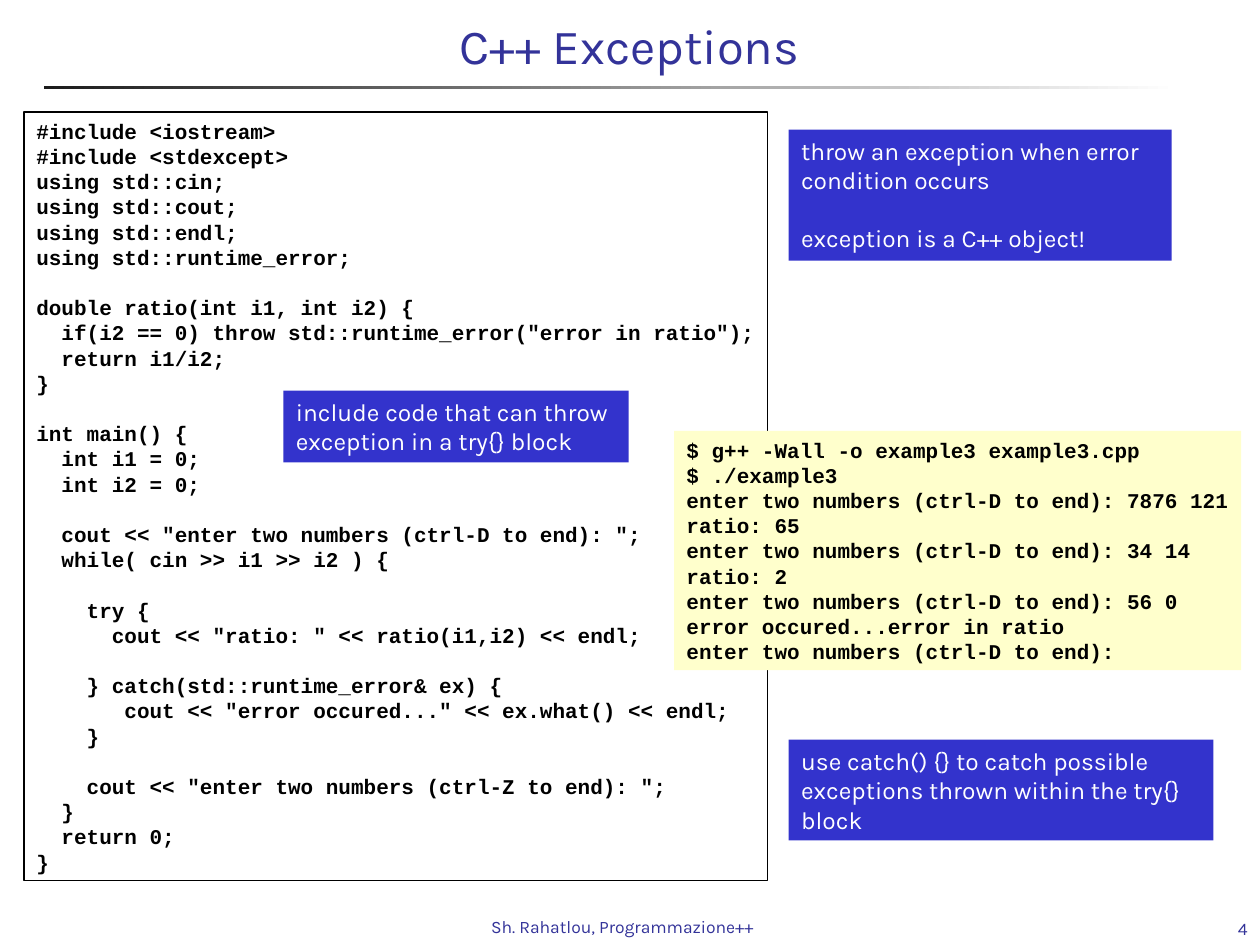
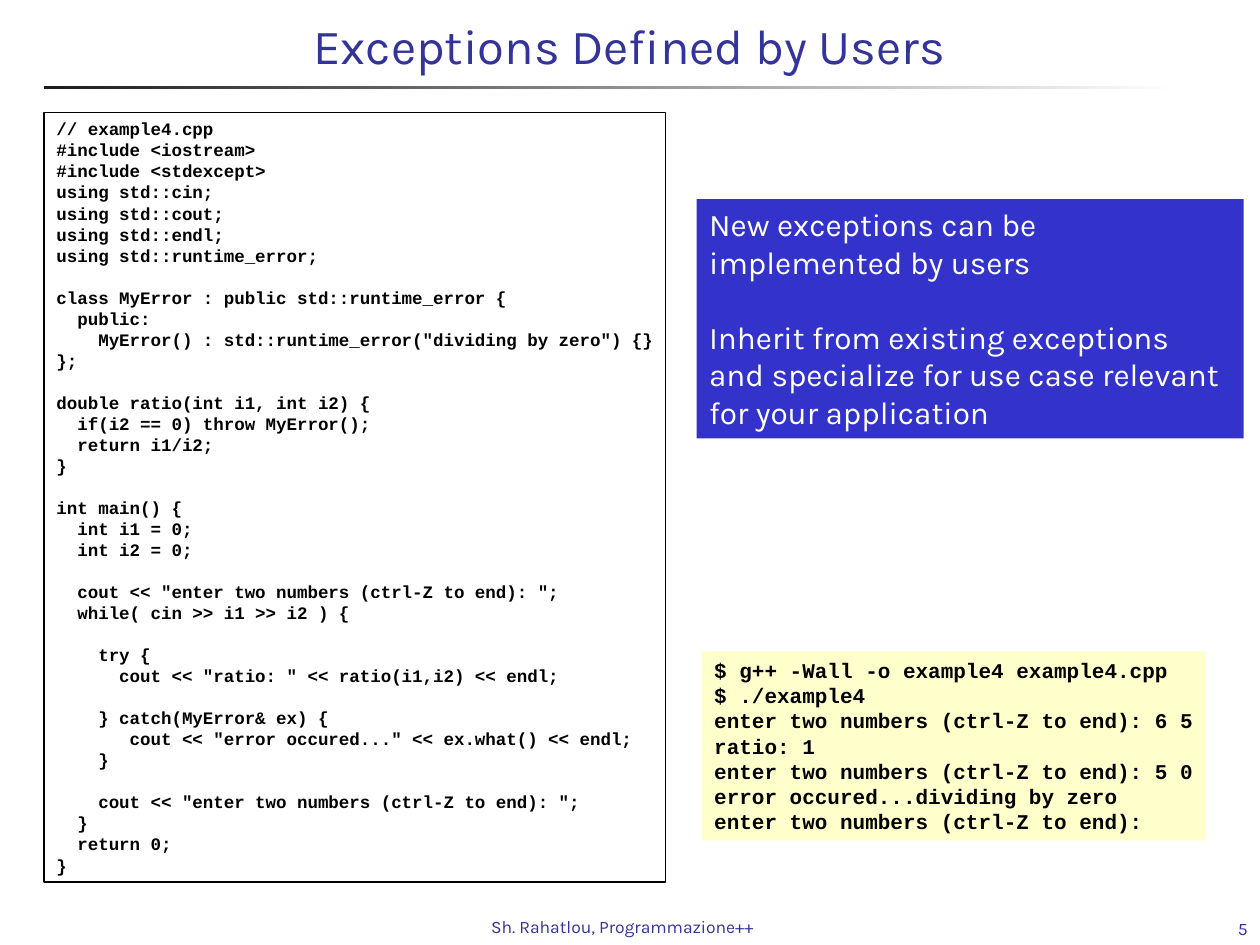
from copy import deepcopy
from dataclasses import dataclass

from lxml import etree
from pptx import Presentation
from pptx.dml.color import RGBColor
from pptx.enum.shapes import MSO_SHAPE
from pptx.enum.text import MSO_ANCHOR, PP_ALIGN
from pptx.oxml.ns import qn
from pptx.util import Inches, Pt

RECTANGLE = MSO_SHAPE.RECTANGLE
TOP, MIDDLE, BOTTOM = MSO_ANCHOR.TOP, MSO_ANCHOR.MIDDLE, MSO_ANCHOR.BOTTOM
LEFT, CENTER, RIGHT = PP_ALIGN.LEFT, PP_ALIGN.CENTER, PP_ALIGN.RIGHT


@dataclass(frozen=True)
class Theme:
    heading: str = "333399"
    callout: str = "3333CC"
    console: str = "FFFFCC"
    light: str = "FFFFFF"
    dark: str = "000000"
    rule_start: str = "1C1C1C"
    text_font: str = "Karla"
    code_font: str = "Courier New"
    title_size: int = 28
    console_size: int = 12
    footer_size: int = 10
    line_height: float = 1.17
    outline: float = 0.75


THEME = Theme()
FOOTER = "Sh. Rahatlou, Programmazione++"
FIRST_NUMBER = 4

RATIO_CODE = """\
#include <iostream>
#include <stdexcept>
using std::cin;
using std::cout;
using std::endl;
using std::runtime_error;

double ratio(int i1, int i2) {
  if(i2 == 0) throw std::runtime_error("error in ratio");
  return i1/i2;
}

int main() {
  int i1 = 0;
  int i2 = 0;

  cout << "enter two numbers (ctrl-D to end): ";
  while( cin >> i1 >> i2 ) {

    try {
      cout << "ratio: " << ratio(i1,i2) << endl;

    } catch(std::runtime_error& ex) {
       cout << "error occured..." << ex.what() << endl;
    }

    cout << "enter two numbers (ctrl-Z to end): ";
  }
  return 0;
}"""

RATIO_OUTPUT = """\
$ g++ -Wall -o example3 example3.cpp
$ ./example3
enter two numbers (ctrl-D to end): 7876 121
ratio: 65
enter two numbers (ctrl-D to end): 34 14
ratio: 2
enter two numbers (ctrl-D to end): 56 0
error occured...error in ratio
enter two numbers (ctrl-D to end):"""

MY_ERROR_CODE = """\
// example4.cpp
#include <iostream>
#include <stdexcept>
using std::cin;
using std::cout;
using std::endl;
using std::runtime_error;

class MyError : public std::runtime_error {
  public:
    MyError() : std::runtime_error("dividing by zero") {}
};

double ratio(int i1, int i2) {
  if(i2 == 0) throw MyError();
  return i1/i2;
}

int main() {
  int i1 = 0;
  int i2 = 0;

  cout << "enter two numbers (ctrl-Z to end): ";
  while( cin >> i1 >> i2 ) {

    try {
      cout << "ratio: " << ratio(i1,i2) << endl;

    } catch(MyError& ex) {
       cout << "error occured..." << ex.what() << endl;
    }

    cout << "enter two numbers (ctrl-Z to end): ";
  }
  return 0;
}"""

MY_ERROR_OUTPUT = """\
$ g++ -Wall -o example4 example4.cpp
$ ./example4
enter two numbers (ctrl-Z to end): 6 5
ratio: 1
enter two numbers (ctrl-Z to end): 5 0
error occured...dividing by zero
enter two numbers (ctrl-Z to end):"""

# Boxes are (left, top, width, height) in inches; \v breaks a line inside a paragraph.
SLIDES = [
    {
        "title": "C++ Exceptions",
        "code": (RATIO_CODE, (0.19, 0.89, 5.9, 6.1), 12),
        "console": (RATIO_OUTPUT, (5.35, 3.42, 4.5, 1.9)),
        "callout_size": 14,
        "callouts": [
            (["throw an exception when error\vcondition occurs",
              "exception is a C++ object!"], (6.26, 1.03, 3.04, 1.04)),
            (["include code that can throw\vexception in a try{} block"],
             (2.25, 3.1, 2.74, 0.57)),
            (["use catch() {} to catch possible\vexceptions thrown within the try{}\vblock"],
             (6.26, 5.87, 3.37, 0.8)),
        ],
    },
    {
        "title": "Exceptions Defined by Users",
        "code": (MY_ERROR_CODE, (0.35, 0.89, 4.93, 6.11), 10),
        "console": (MY_ERROR_OUTPUT, (5.57, 5.17, 4, 1.5)),
        "callout_size": 18,
        "callouts": [
            (["New exceptions can be\vimplemented by users",
              "Inherit from existing exceptions\vand specialize for use case relevant\v"
              "for your application"], (5.53, 1.58, 4.34, 1.9)),
        ],
    },
]


def color(value):
    return RGBColor.from_string(value)


def add_box(slide, box, fill=None, line=None):
    shape = slide.shapes.add_shape(RECTANGLE, *map(Inches, box))
    shape.shadow.inherit = False
    if fill:
        shape.fill.solid()
        shape.fill.fore_color.rgb = color(fill)
    else:
        shape.fill.background()
    if line:
        shape.line.color.rgb = color(line)
        shape.line.width = Pt(THEME.outline)
    else:
        shape.line.fill.background()
    return shape


def format_paragraph(paragraph, size, ink, font, bold):
    """Format the runs, and give line breaks and empty lines the same size."""
    for run in paragraph.runs:
        run.font.name = font
        run.font.size = Pt(size)
        run.font.bold = bold
        run.font.color.rgb = color(ink)
    element = paragraph._p
    for line_break in element.findall(qn("a:br")):
        line_break.append(deepcopy(paragraph.runs[0].font._element))
    if not paragraph.runs:
        end = etree.SubElement(element, qn("a:endParaRPr"), sz=str(size * 100), b="1")
        etree.SubElement(end, qn("a:latin"), typeface=font)


def write(shape, paragraphs, size, ink, font=THEME.text_font, bold=False,
          align=LEFT, anchor=TOP, wrap=True, gap=0):
    frame = shape.text_frame
    frame.word_wrap = wrap
    frame.vertical_anchor = anchor
    for index, text in enumerate(paragraphs):
        paragraph = frame.paragraphs[0] if index == 0 else frame.add_paragraph()
        paragraph.text = text
        paragraph.alignment = align
        if index and gap:
            paragraph.space_before = Pt(gap)
        format_paragraph(paragraph, size, ink, font, bold)


def add_label(slide, text, box, size, **options):
    label = slide.shapes.add_textbox(*map(Inches, box))
    write(label, [text], size, THEME.heading, **options)


def add_frame(slide, title, number):
    """Add the rule, footer, title and slide number every slide carries."""
    rule = add_box(slide, (0.35, 0.68, 9, 0.03))
    rule.fill.gradient()
    rule.fill.gradient_angle = 0
    for stop, shade in zip(rule.fill.gradient_stops, (THEME.rule_start, THEME.light)):
        stop.color.rgb = color(shade)
    add_label(slide, FOOTER, (3.8, 7.22, 2.37, 0.27), THEME.footer_size)
    add_label(slide, title, (0.58, 0.02, 8.83, 0.67), THEME.title_size,
              align=CENTER, anchor=MIDDLE)
    add_label(slide, str(number), (8.92, 7.25, 1.08, 0.25), THEME.footer_size,
              align=RIGHT, anchor=BOTTOM)


def add_listing(slide, text, box, size, **colors):
    write(add_box(slide, box, **colors), text.split("\n"), size, THEME.dark,
          font=THEME.code_font, bold=True, wrap=False)


def build_slide(presentation, content, number):
    slide = presentation.slides.add_slide(presentation.slide_layouts[6])
    add_frame(slide, content["title"], number)
    add_listing(slide, *content["code"], line=THEME.dark)
    add_listing(slide, *content["console"], THEME.console_size, fill=THEME.console)
    size = content["callout_size"]
    for paragraphs, box in content["callouts"]:
        write(add_box(slide, box, fill=THEME.callout), paragraphs, size, THEME.light,
              gap=round(size * THEME.line_height))


def main():
    presentation = Presentation()
    presentation.slide_width = Inches(10)
    presentation.slide_height = Inches(7.5)
    for number, content in enumerate(SLIDES, FIRST_NUMBER):
        build_slide(presentation, content, number)
    presentation.save("out.pptx")


if __name__ == "__main__":
    main()
